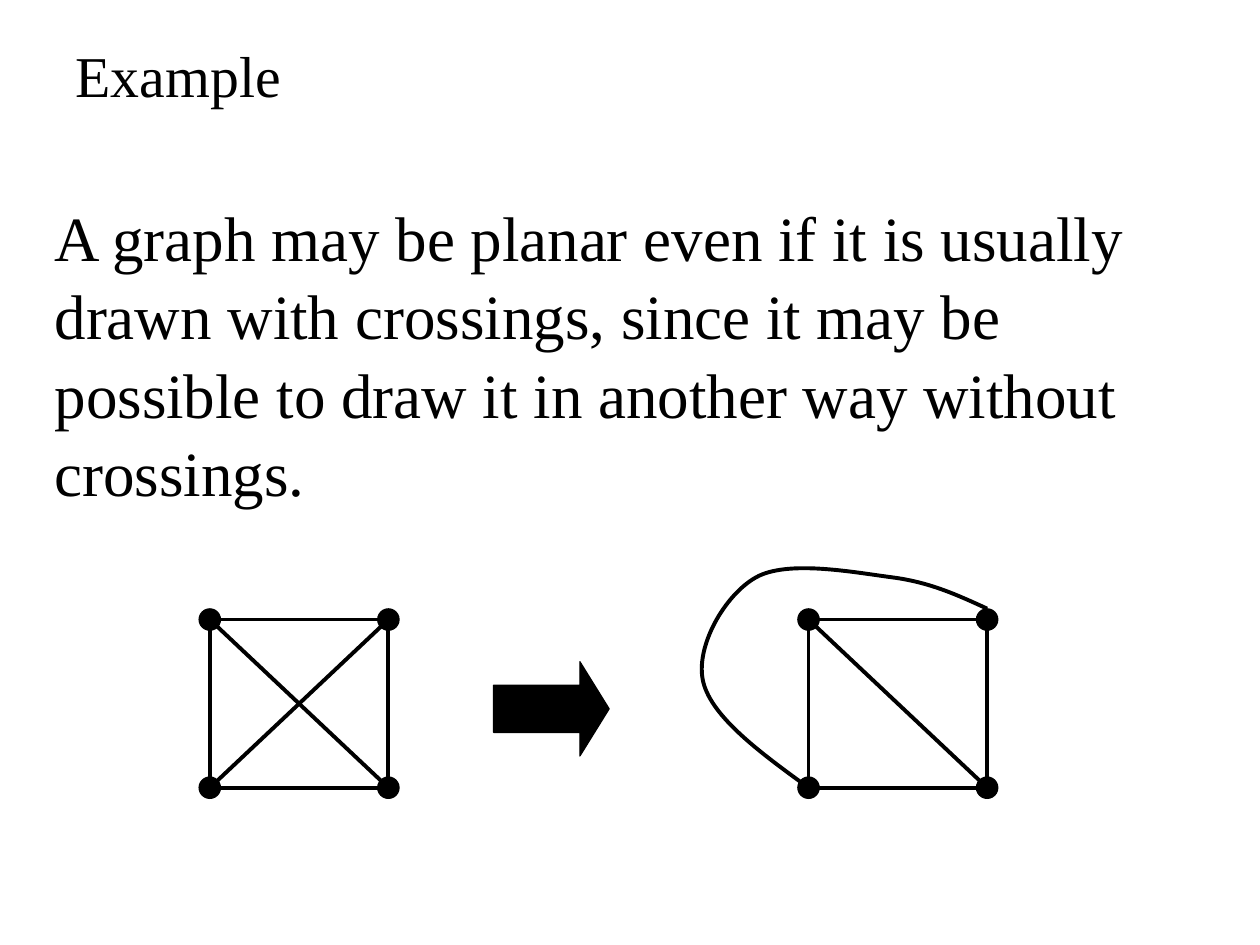
import pptx
import pptx.util
import pptx.dml.color
import pptx.enum.shapes
import pptx.enum.text
import pptx.oxml.ns
from dataclasses import dataclass
from itertools import product
from lxml import etree

Cm, Pt = pptx.util.Cm, pptx.util.Pt
Kind = pptx.enum.shapes.MSO_SHAPE
Link = pptx.enum.shapes.MSO_CONNECTOR
Anchor = pptx.enum.text.MSO_ANCHOR
Align = pptx.enum.text.PP_ALIGN
qn = pptx.oxml.ns.qn


@dataclass(frozen=True)
class Theme:
    ink: pptx.dml.color.RGBColor = pptx.dml.color.RGBColor(0, 0, 0)
    font: str = "Times New Roman"
    title: float = 33
    body: float = 36
    edge: float = 2.25
    rim: float = 0.75
    dot: float = 0.43


theme = Theme()
FALL = ((0, 0), (1, 1))
RISE = ((0, 1), (1, 0))
ARC = [
    (3.6, -0.22),
    (3.03, -0.48), (2.46, -0.75), (1.69, -0.85),
    (0.92, -0.95), (-0.42, -1.21), (-1.06, -0.85),
    (-1.7, -0.49), (-2.3, 0.57), (-2.12, 1.27),
    (-1.94, 1.97), (-0.98, 2.68), (0, 3.39),
]


def place(shape, box):
    shape.left, shape.top, shape.width, shape.height = map(Cm, box)


def write(shape, text, size, space):
    frame = shape.text_frame
    frame.word_wrap = True
    frame.text = text
    para = frame.paragraphs[0]
    para.alignment = Align.LEFT
    para.line_spacing = space
    font = para.runs[0].font
    font.name, font.size = theme.font, Pt(size)
    font.color.rgb = theme.ink
    return frame


def ink(shape, width, solid=False):
    shape.shadow.inherit = False
    shape.line.color.rgb = theme.ink
    shape.line.width = Pt(width)
    if solid:
        shape.fill.solid()
        shape.fill.fore_color.rgb = theme.ink
    else:
        shape.fill.background()


def heading(slide, box):
    title = slide.shapes.title
    place(title, box)
    frame = write(title, "Example", theme.title, 0.9)
    frame.vertical_anchor = Anchor.MIDDLE


def remark(slide, box):
    note = slide.shapes.add_textbox(*map(Cm, box))
    text = (
        "A graph may be planar even if it is usually drawn with crossings, "
        "since it may be possible to draw it in another way without crossings."
    )
    write(note, text, theme.body, 1.04)


def curve(shapes, left, top, points):
    spots = [(Cm(left + x), Cm(top + y)) for x, y in points]
    build = shapes.build_freeform(*spots[0])
    build.add_line_segments(spots[1:], close=False)
    shape = build.convert_to_shape()
    ink(shape, theme.edge)
    lines = list(shape._element.iter(qn("a:lnTo")))
    for i in range(0, len(lines), 3):
        bend = etree.Element(qn("a:cubicBezTo"))
        lines[i].addprevious(bend)
        for line in lines[i:i + 3]:
            bend.append(line[0])
            line.getparent().remove(line)


def graph(slide, box, chords, arc=None):
    left, top, width, height = box
    shapes = slide.shapes.add_group_shape().shapes

    def spot(node):
        return left + node[0] * width, top + node[1] * height

    ink(shapes.add_shape(Kind.RECTANGLE, *map(Cm, box)), theme.edge)
    for start, end in chords:
        ends = map(Cm, spot(start) + spot(end))
        line = shapes.add_connector(Link.STRAIGHT, *ends)
        line.line.color.rgb = theme.ink
        line.line.width = Pt(theme.edge)
        etree.SubElement(line._element.spPr, qn("a:effectLst"))
    for node in product((0, 1), repeat=2):
        x, y = spot(node)
        dot = theme.dot
        rect = (x - dot / 2, y - dot / 2, dot, dot)
        ink(shapes.add_shape(Kind.OVAL, *map(Cm, rect)), theme.rim, True)
    if arc:
        curve(shapes, left, top, arc)


def arrow(slide, box):
    shape = slide.shapes.add_shape(Kind.RIGHT_ARROW, *map(Cm, box))
    shape.adjustments[0] = 0.5
    shape.adjustments[1] = 0.31
    ink(shape, theme.rim, True)


def main():
    deck = pptx.Presentation()
    deck.slide_width, deck.slide_height = Cm(25.4), Cm(19.05)
    slide = deck.slides.add_slide(deck.slide_layouts[5])
    heading(slide, (1.27, 0.43, 22.86, 2.33))
    graph(slide, (4.23, 12.49, 3.6, 3.39), [FALL, RISE])
    graph(slide, (16.3, 12.49, 3.6, 3.39), [FALL], ARC)
    arrow(slide, (9.95, 13.34, 2.33, 1.9))
    remark(slide, (0.85, 3.81, 23.5, 6.35))
    deck.save("out.pptx")


if __name__ == "__main__":
    main()
